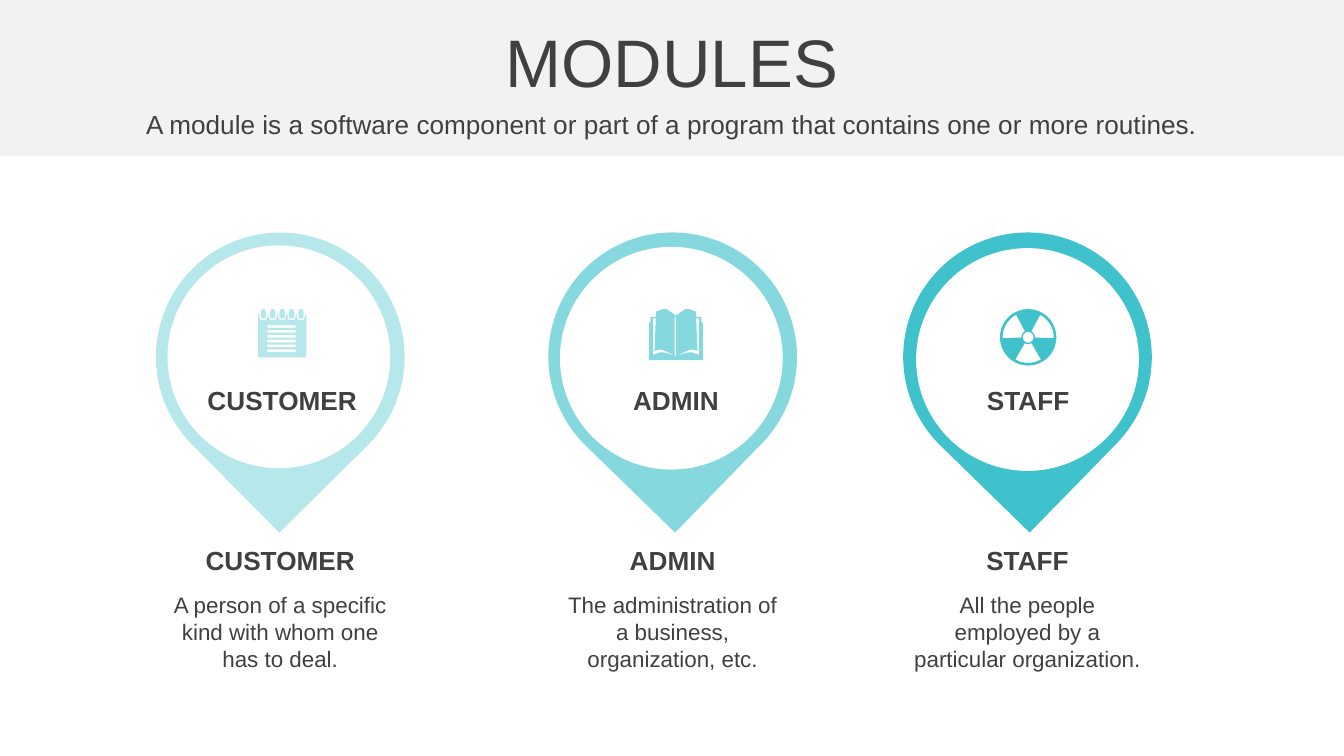
from math import cos, sin, radians
from pptx import Presentation
from pptx.dml.color import RGBColor
from pptx.enum.shapes import MSO_SHAPE
from pptx.enum.text import MSO_ANCHOR, PP_ALIGN
from pptx.util import Inches, Pt

RECTANGLE, OVAL, TEAR = MSO_SHAPE.RECTANGLE, MSO_SHAPE.OVAL, MSO_SHAPE.TEAR
TOP, MIDDLE = MSO_ANCHOR.TOP, MSO_ANCHOR.MIDDLE
CENTER = PP_ALIGN.CENTER
INK = RGBColor(0x40, 0x40, 0x40)
BAND = RGBColor(0xF2, 0xF2, 0xF2)
WHITE = RGBColor(0xFF, 0xFF, 0xFF)
PALE = RGBColor(0xB6, 0xE8, 0xEB)
AQUA = RGBColor(0x85, 0xD8, 0xDE)
TEAL = RGBColor(0x3F, 0xC2, 0xCB)

deck = Presentation()
deck.slide_width = Inches(10)
deck.slide_height = Inches(10 * 9 / 16)
slide = deck.slides.add_slide(deck.slide_layouts[6])
shapes = slide.shapes


def write(text, left, top, width, height, size=14, bold=False, anchor=MIDDLE):
    box = shapes.add_textbox(Inches(left), Inches(top), Inches(width), Inches(height))
    frame = box.text_frame
    frame.word_wrap = True
    frame.vertical_anchor = anchor
    paragraph = frame.paragraphs[0]
    paragraph.alignment = CENTER
    run = paragraph.add_run()
    run.text = text
    run.font.name = "Arial"
    run.font.size = Pt(size)
    run.font.bold = bold
    run.font.color.rgb = INK


def draw_icon(contours, color):
    outlines = [[(Inches(x), Inches(y)) for x, y in contour] for contour in contours]
    builder = shapes.build_freeform(*outlines[0][0])
    builder.add_line_segments(outlines[0][1:])
    for outline in outlines[1:]:
        builder.move_to(*outline[0])
        builder.add_line_segments(outline[1:])
    icon = builder.convert_to_shape()
    icon.shadow.inherit = False
    icon.fill.solid()
    icon.fill.fore_color.rgb = color
    icon.line.fill.background()


header = shapes.add_shape(RECTANGLE, 0, 0, Inches(10), Inches(1.16))
header.shadow.inherit = False
header.fill.solid()
header.fill.fore_color.rgb = BAND
header.line.fill.background()
write("MODULES", 0, 0.14, 10, 0.63, size=36)
write("A module is a software component or part of a program that contains "
      "one or more routines.", 0, 0.77, 10, 0.31)

modules = [
    ("CUSTOMER", "A person of a specific kind with whom one has to deal.",
     1.16, 1.25, 1.83, 1.38, 135.3, PALE),
    ("ADMIN", "The administration of a business, organization, etc.",
     4.08, 4.17, 1.84, 4.31, 134.2, AQUA),
    ("STAFF", "All the people employed by a particular organization.",
     6.72, 6.82, 1.85, 6.93, 134.3, TEAL),
]
for name, description, left, disc_left, disc_top, label_left, angle, color in modules:
    pin = shapes.add_shape(TEAR, Inches(left), Inches(1.73), Inches(1.85), Inches(1.85))
    pin.rotation = angle
    disc = shapes.add_shape(OVAL, Inches(disc_left), Inches(disc_top),
                            Inches(1.65), Inches(1.65))
    for part, fill in ((pin, color), (disc, WHITE)):
        part.shadow.inherit = False
        part.fill.solid()
        part.fill.fore_color.rgb = fill
    pin.line.fill.background()
    disc.line.color.rgb = WHITE
    disc.line.width = Pt(0.5)
    write(name, label_left, 2.81, 1.44, 0.34, bold=True)
    write(name, left - 0.02, 4, 1.89, 0.34, bold=True)
    write(description, left - 0.02, 4.35, 1.89, 0.91, size=12, anchor=TOP)

notebook_edge = [(1.92, 2.34)]
notebook_rings = []
for i in range(5):
    x = 1.96 + 0.07 * i
    notebook_edge += [(x - 0.03, 2.34), (x - 0.03, 2.36), (x - 0.02, 2.38),
                      (x + 0.02, 2.38), (x + 0.03, 2.36), (x + 0.03, 2.34)]
    notebook_rings.append([(x - 0.01, 2.3), (x + 0.01, 2.3), (x + 0.02, 2.32),
                           (x + 0.02, 2.36), (x + 0.01, 2.37), (x - 0.01, 2.37),
                           (x - 0.02, 2.36), (x - 0.02, 2.32)])
notebook_edge += [(2.28, 2.34), (2.28, 2.66), (1.92, 2.66)]
notebook_rows = []
for i in range(6):
    y = 2.42 + 0.18 * i / 5
    notebook_rows.append([(1.99, y), (2.2, y), (2.2, y + 0.02), (1.99, y + 0.02)])
draw_icon([notebook_edge] + notebook_rows + notebook_rings, PALE)

book_half = [(5.03, 2.35), (4.99, 2.32), (4.96, 2.3), (4.93, 2.3), (4.88, 2.32),
             (4.88, 2.36), (4.84, 2.36), (4.84, 2.4), (4.83, 2.4), (4.83, 2.68),
             (5.03, 2.68)]
page_gap = [(4.86, 2.37), (4.88, 2.37), (4.87, 2.61), (4.92, 2.6), (4.97, 2.62),
            (5.02, 2.65), (4.97, 2.63), (4.92, 2.62), (4.86, 2.64)]
spine = [(5.02, 2.36), (5.03, 2.36), (5.03, 2.65), (5.02, 2.65)]
mirrored = [[(10.06 - x, y) for x, y in contour] for contour in (book_half, page_gap)]
draw_icon([book_half, page_gap, spine] + mirrored, AQUA)

trefoil = []
for outer, inner, start, end in [(0.21, 0, 0, 360), (0.04, 0, 0, 360),
                                 (0.19, 0.05, 60, 120), (0.19, 0.05, 178, 242),
                                 (0.19, 0.05, 298, 362)]:
    turns = [radians(start + (end - start) * i / 40) for i in range(41)]
    contour = [(7.65 + outer * cos(t), 2.51 + outer * sin(t)) for t in turns]
    if inner:
        contour += [(7.65 + inner * cos(t), 2.51 + inner * sin(t)) for t in turns[::-1]]
    trefoil.append(contour)
draw_icon(trefoil, TEAL)

deck.save("out.pptx")
